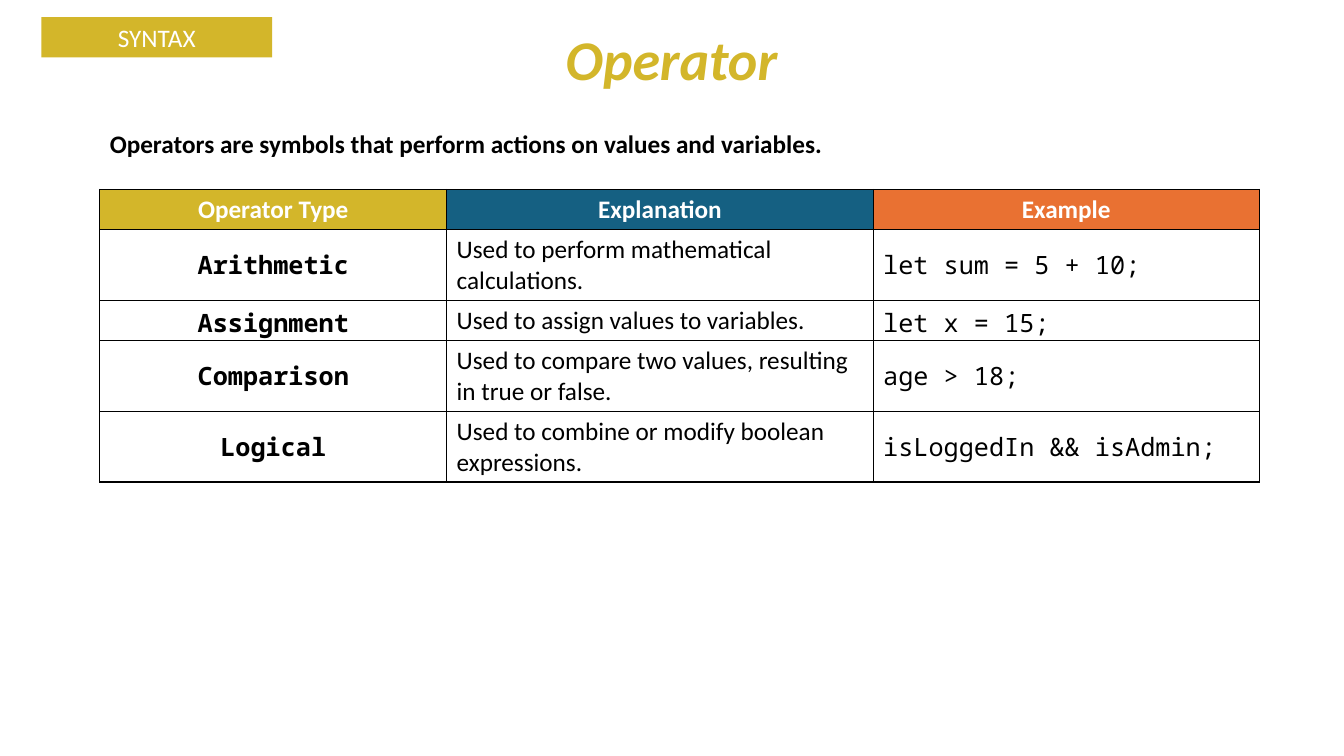
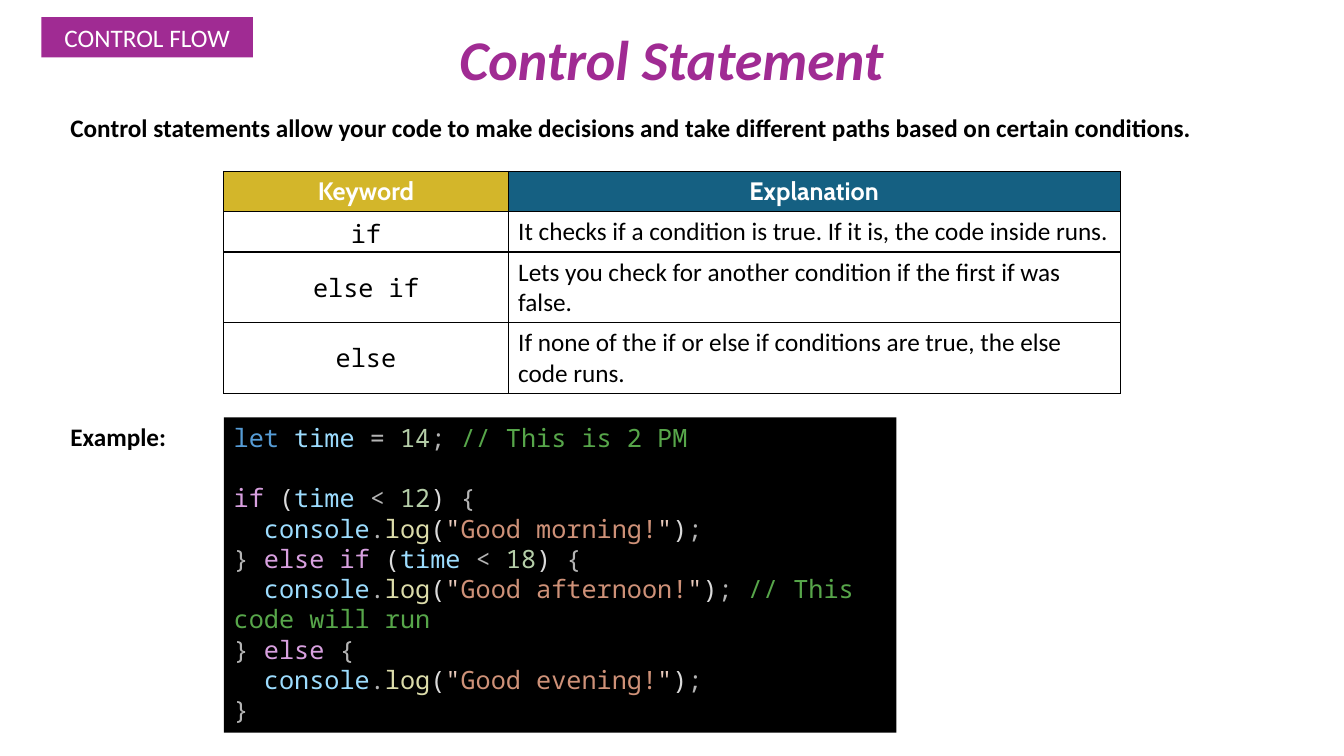
from dataclasses import dataclass

from lxml import etree
from pptx import Presentation
from pptx.dml.color import RGBColor
from pptx.enum.shapes import MSO_SHAPE
from pptx.enum.text import MSO_ANCHOR, PP_ALIGN
from pptx.oxml.ns import qn
from pptx.util import Inches, Pt

RECTANGLE = MSO_SHAPE.RECTANGLE
LEFT, CENTER = PP_ALIGN.LEFT, PP_ALIGN.CENTER
TOP, MIDDLE = MSO_ANCHOR.TOP, MSO_ANCHOR.MIDDLE


@dataclass(frozen=True)
class Theme:
    """Colours, fonts and type sizes shared by the slides."""

    gold: str = "D3B62A"
    purple: str = "A02B93"
    blue: str = "156082"
    orange: str = "E97132"
    white: str = "FFFFFF"
    black: str = "000000"
    declaration: str = "569CD6"
    variable: str = "9CDCFE"
    operator: str = "B4B4B4"
    number: str = "B5CEA8"
    comment: str = "57A64A"
    keyword: str = "D8A0DF"
    bracket: str = "DADADA"
    function: str = "DCDCAA"
    quote: str = "E8C9BB"
    string: str = "CE9178"
    sans: str = "Calibri"
    heading: str = "Cabin"
    mono: str = "Noto Sans Mono"
    title_size: int = 40
    body_size: int = 18
    code_line: float = 21.6
    border: int = 1


THEME = Theme()


class Deck:
    """Draws styled elements on the current slide."""

    def __init__(self):
        self.presentation = Presentation()
        self.presentation.slide_width = Inches(13.33)
        self.presentation.slide_height = Inches(7.5)
        self.slide = None

    def start_slide(self, section, tag_width, title, colour):
        """Add a slide with its section tag and title."""
        self.slide = self.presentation.slides.add_slide(self.presentation.slide_layouts[6])
        tag = self.box(0.41, 0.17, tag_width, 0.4, colour)
        tag.text_frame.vertical_anchor = MIDDLE
        self.fill_text(tag.text_frame, section, colour=THEME.white, align=CENTER)
        self.text(3.83, 0.19, 5.66, 0.77, title, size=THEME.title_size,
                  colour=colour, italic=True, align=CENTER)

    def fill_text(self, frame, text, font=THEME.sans, size=THEME.body_size,
                  colour=THEME.black, bold=False, italic=False, align=LEFT):
        """Fill a text frame with one styled paragraph."""
        frame.word_wrap = True
        paragraph = frame.paragraphs[0]
        paragraph.text = text
        paragraph.alignment = align
        paragraph.font.name = font
        paragraph.font.size = Pt(size)
        paragraph.font.bold = bold
        paragraph.font.italic = italic
        paragraph.font.color.rgb = RGBColor.from_string(colour)

    def text(self, left, top, width, height, text, **style):
        """Add a bold text box."""
        shape = self.slide.shapes.add_textbox(
            Inches(left), Inches(top), Inches(width), Inches(height))
        self.fill_text(shape.text_frame, text, bold=True, **style)

    def box(self, left, top, width, height, colour):
        """Add a plain filled rectangle."""
        shape = self.slide.shapes.add_shape(
            RECTANGLE, Inches(left), Inches(top), Inches(width), Inches(height))
        shape.shadow.inherit = False
        shape.fill.solid()
        shape.fill.fore_color.rgb = RGBColor.from_string(colour)
        shape.line.fill.background()
        return shape

    def border(self, cell):
        """Draw a thin line on all four sides of a cell."""
        properties = cell._tc.get_or_add_tcPr()
        for side in ("lnL", "lnR", "lnT", "lnB"):
            line = etree.SubElement(properties, qn(f"a:{side}"), w=str(Pt(THEME.border)))
            fill = etree.SubElement(line, qn("a:solidFill"))
            etree.SubElement(fill, qn("a:srgbClr"), val=THEME.black)

    def table(self, left, top, widths, heights, header, rows, styles, header_font=THEME.sans):
        """Add a table with a coloured header and one text style per column."""
        frame = self.slide.shapes.add_table(
            len(heights), len(widths), Inches(left), Inches(top),
            Inches(sum(widths)), Inches(sum(heights)))
        table = frame.table
        table.first_row = table.horz_banding = False
        for column, width in zip(table.columns, widths):
            column.width = Inches(width)
        for row, height in zip(table.rows, heights):
            row.height = Inches(height)
        fills = (THEME.gold, THEME.blue, THEME.orange)
        header_style = dict(font=header_font, colour=THEME.white, bold=True, align=CENTER)
        for row_index, texts in enumerate([header, *rows]):
            for column_index, text in enumerate(texts):
                cell = table.cell(row_index, column_index)
                is_header = row_index == 0
                self.border(cell)
                cell.fill.solid()
                cell.fill.fore_color.rgb = RGBColor.from_string(
                    fills[column_index] if is_header else THEME.white)
                cell.vertical_anchor = MIDDLE
                self.fill_text(cell.text_frame, text,
                               **(header_style if is_header else styles[column_index]))

    def code(self, left, top, width, height, blocks):
        """Add a dark panel of coloured code, with a line's gap between blocks."""
        frame = self.box(left, top, width, height, THEME.black).text_frame
        frame.word_wrap = True
        frame.vertical_anchor = TOP
        lines = [(line, block > 0 and index == 0)
                 for block, block_lines in enumerate(blocks)
                 for index, line in enumerate(block_lines)]
        for number, (tokens, gap) in enumerate(lines):
            paragraph = frame.add_paragraph() if number else frame.paragraphs[0]
            paragraph.alignment = LEFT
            if gap:
                paragraph.space_before = Pt(THEME.code_line)
            paragraph.font.name = THEME.mono
            paragraph.font.size = Pt(THEME.body_size)
            for text, colour in tokens:
                run = paragraph.add_run()
                run.text = text
                run.font.color.rgb = RGBColor.from_string(colour)


def condition(limit):
    """Return the tokens that test the time against a limit."""
    return [(" (", THEME.bracket), ("time ", THEME.variable), ("< ", THEME.operator),
            (limit, THEME.number), (") ", THEME.bracket), ("{", THEME.operator)]


def log_call(message, ending=";"):
    """Return the tokens of an indented line that logs a message."""
    return [("  ", THEME.bracket), ("console", THEME.variable),
            (".", THEME.operator), ("log", THEME.function), ("(", THEME.bracket),
            ('"', THEME.quote), (message, THEME.string), ('"', THEME.quote),
            (")", THEME.bracket), (ending, THEME.operator)]


def operator_slide(deck):
    """Build the slide on operators."""
    deck.start_slide("SYNTAX", 2.29, "Operator", THEME.gold)
    deck.text(0.99, 1.22, 7.61, 0.4,
              "Operators are symbols that perform actions on values and variables.")
    deck.table(
        0.99, 1.88, (3.44, 4.23, 3.83), (0.4, 0.7, 0.4, 0.7, 0.7),
        ("Operator Type", "Explanation", "Example"),
        [("Arithmetic", "Used to perform mathematical calculations.", "let sum = 5 + 10;"),
         ("Assignment", "Used to assign values to variables.", "let x = 15;"),
         ("Comparison", "Used to compare two values, resulting in true or false.",
          "age > 18;"),
         ("Logical", "Used to combine or modify boolean expressions.",
          "isLoggedIn && isAdmin;")],
        (dict(font=THEME.mono, bold=True, align=CENTER), {}, dict(font=THEME.mono)))


def control_slide(deck):
    """Build the slide on control statements."""
    deck.start_slide("CONTROL FLOW", 2.1, "Control Statement", THEME.purple)
    deck.text(0.6, 1.07, 12.13, 0.4,
              "Control statements allow your code to make decisions and take different "
              "paths based on certain conditions.")
    deck.table(
        2.22, 1.7, (2.82, 6.07), (0.4, 0.4, 0.7, 0.7),
        ("Keyword", "Explanation"),
        [("if", "It checks if a condition is true. If it is, the code inside runs."),
         ("else if", "Lets you check for another condition if the first if was false."),
         ("else", "If none of the if or else if conditions are true, the else code runs.")],
        (dict(font=THEME.mono, align=CENTER), {}), header_font=THEME.heading)
    closing = ("} ", THEME.operator)
    deck.code(2.22, 4.14, 6.67, 3.13, [
        [[("let ", THEME.declaration), ("time ", THEME.variable), ("= ", THEME.operator),
          ("14", THEME.number), ("; ", THEME.operator), ("// This is 2 PM", THEME.comment)]],
        [[("if", THEME.keyword), *condition("12")],
         log_call("Good morning!"),
         [closing, ("else if", THEME.keyword), *condition("18")],
         [*log_call("Good afternoon!", "; "), ("// This code will run", THEME.comment)],
         [closing, ("else ", THEME.keyword), ("{", THEME.operator)],
         log_call("Good evening!"),
         [("}", THEME.operator)]],
    ])
    deck.text(0.6, 4.13, 1.16, 0.4, "Example:")


def main():
    """Build and save the presentation."""
    deck = Deck()
    operator_slide(deck)
    control_slide(deck)
    deck.presentation.save("out.pptx")


if __name__ == "__main__":
    main()
